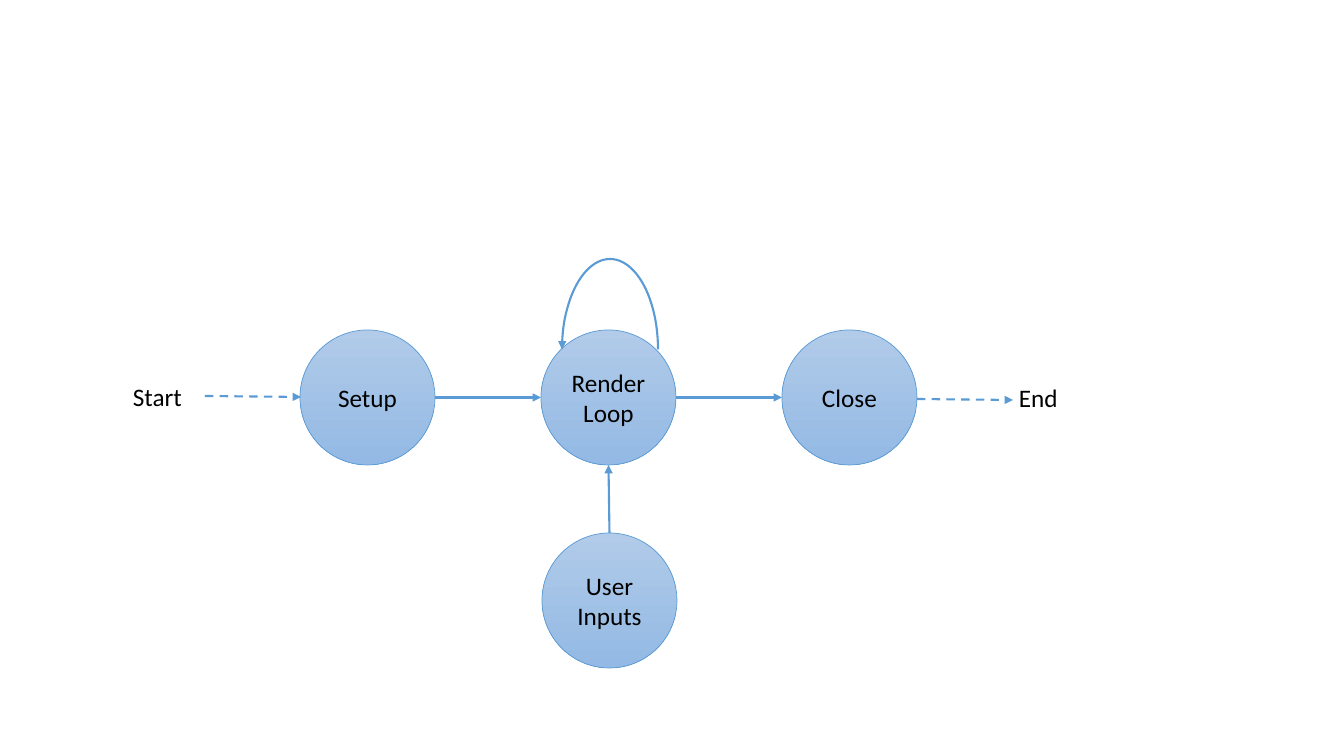
from lxml import etree
from pptx import Presentation
from pptx.dml.color import RGBColor
from pptx.enum.dml import MSO_LINE
from pptx.enum.shapes import MSO_CONNECTOR, MSO_SHAPE
from pptx.enum.text import MSO_ANCHOR, MSO_AUTO_SIZE, PP_ALIGN
from pptx.oxml.ns import qn
from pptx.util import Emu, Pt

OVAL, ARC = MSO_SHAPE.OVAL, MSO_SHAPE.ARC
STRAIGHT, DASH = MSO_CONNECTOR.STRAIGHT, MSO_LINE.DASH
CENTER, LEFT, MIDDLE, TOP = PP_ALIGN.CENTER, PP_ALIGN.LEFT, MSO_ANCHOR.MIDDLE, MSO_ANCHOR.TOP
FIT = MSO_AUTO_SIZE.SHAPE_TO_FIT_TEXT

BLUE = "5B9BD5"
GRADIENT = ["B1CBE9", "93B9E4"]
DIAMETER, ROW_TOP, FIRST_LEFT, STEP = 135, 330, 300, 241
STATES = ["Setup", "Render Loop", "Close"]
INPUT_STATE = ("User Inputs", 542, 533)
LABELS = [("Start", 123, 376, 70, 40), ("End", 1009, 377, 59, 40)]
DASHED_ARROWS = [(205, 396, 301, 397), (917, 399, 1013, 400)]
LOOP = (562, 259, 96, 181)
FONT = {"name": "Calibri", "size": Pt(18)}


def px(n):
    return Emu(round(n * 914400 / 100.8))


def rgb(value):
    return RGBColor.from_string(value)


def write(sp, text, align, anchor, **frame):
    tf = sp.text_frame
    for key, value in {"vertical_anchor": anchor, **frame}.items():
        setattr(tf, key, value)
    p = tf.paragraphs[0]
    p.alignment = align
    r = p.add_run()
    r.text = text
    for key, value in FONT.items():
        setattr(r.font, key, value)
    r.font.color.rgb = rgb("000000")


def style_line(sp, width):
    sp.line.color.rgb = rgb(BLUE)
    sp.line.width = Pt(width)


def add_head(sp, end):
    etree.SubElement(sp.line._get_or_add_ln(), qn("a:" + end), type="triangle")


def circle(text, x, y):
    sp = s.shapes.add_shape(OVAL, *map(px, (x, y, DIAMETER, DIAMETER)))
    sp.shadow.inherit = False
    sp.fill.gradient()
    sp.fill.gradient_angle = 270
    for stop, value in zip(sp.fill.gradient_stops, GRADIENT):
        stop.color.rgb = rgb(value)
    style_line(sp, 0.5)
    write(sp, text, CENTER, MIDDLE, word_wrap=True)


def arrow(points, dash=None):
    cx = s.shapes.add_connector(STRAIGHT, *map(px, points))
    style_line(cx, 1.5)
    if dash:
        cx.line.dash_style = dash
    add_head(cx, "tailEnd")
    etree.SubElement(cx._element.spPr, qn("a:effectLst"))


prs = Presentation()
prs.slide_width, prs.slide_height = px(1344), px(756)
s = prs.slides.add_slide(prs.slide_layouts[6])

lefts = [FIRST_LEFT + i * STEP for i in range(len(STATES))]
middle = ROW_TOP + DIAMETER / 2
for text, x in zip(STATES, lefts):
    circle(text, x, ROW_TOP)
circle(*INPUT_STATE)

for x, next_x in zip(lefts, lefts[1:]):
    arrow((x + DIAMETER, middle, next_x, middle))
arrow((INPUT_STATE[1] + DIAMETER / 2, INPUT_STATE[2],
       lefts[1] + DIAMETER / 2, ROW_TOP + DIAMETER))
for points in DASHED_ARROWS:
    arrow(points, DASH)

loop = s.shapes.add_shape(ARC, *map(px, LOOP))
loop.shadow.inherit = False
loop.fill.background()
loop.adjustments[0], loop.adjustments[1] = 108, 0
style_line(loop, 1.5)
add_head(loop, "headEnd")

for text, *box in LABELS:
    tb = s.shapes.add_textbox(*map(px, box))
    write(tb, text, LEFT, TOP, word_wrap=False, auto_size=FIT)

prs.save("out.pptx")
